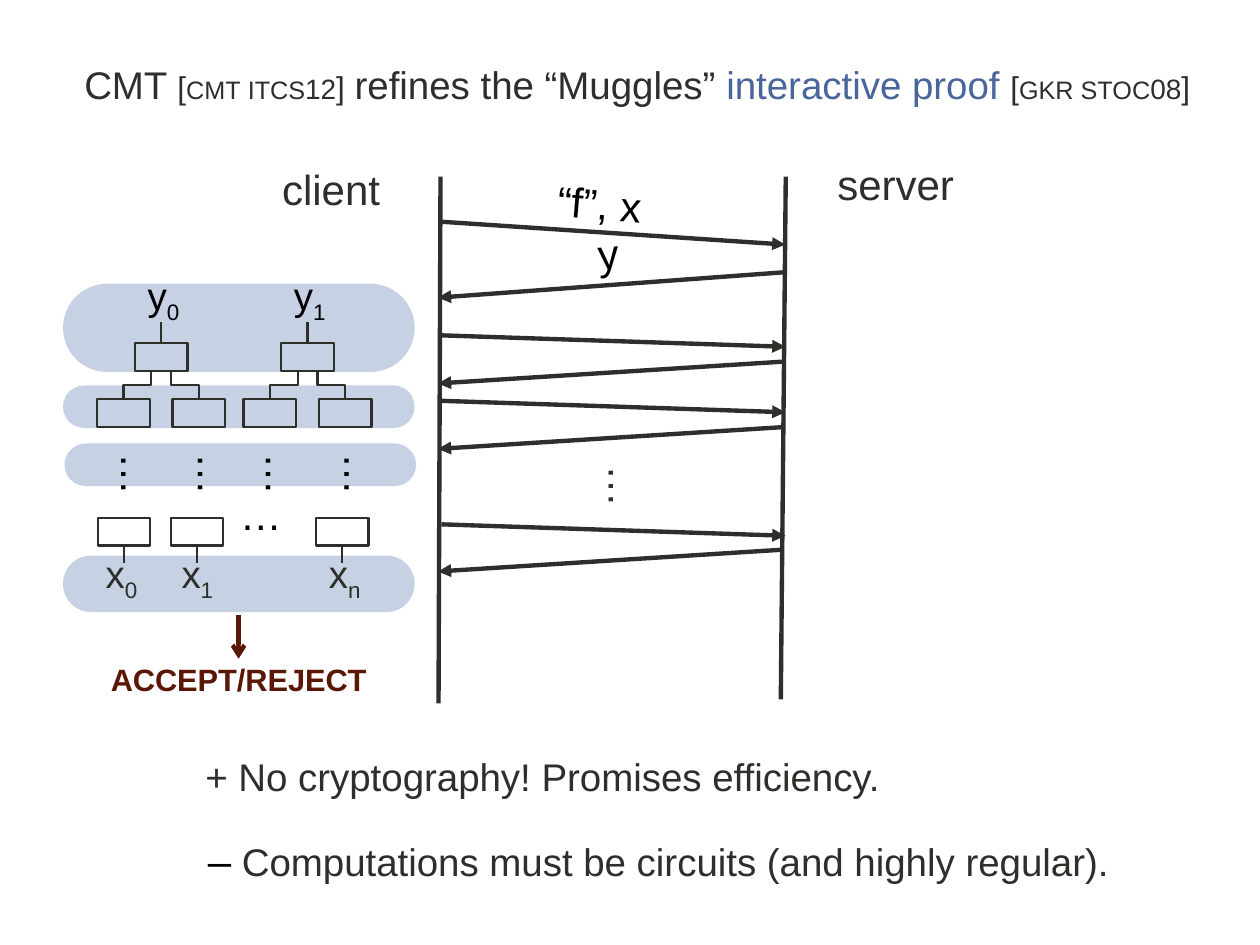
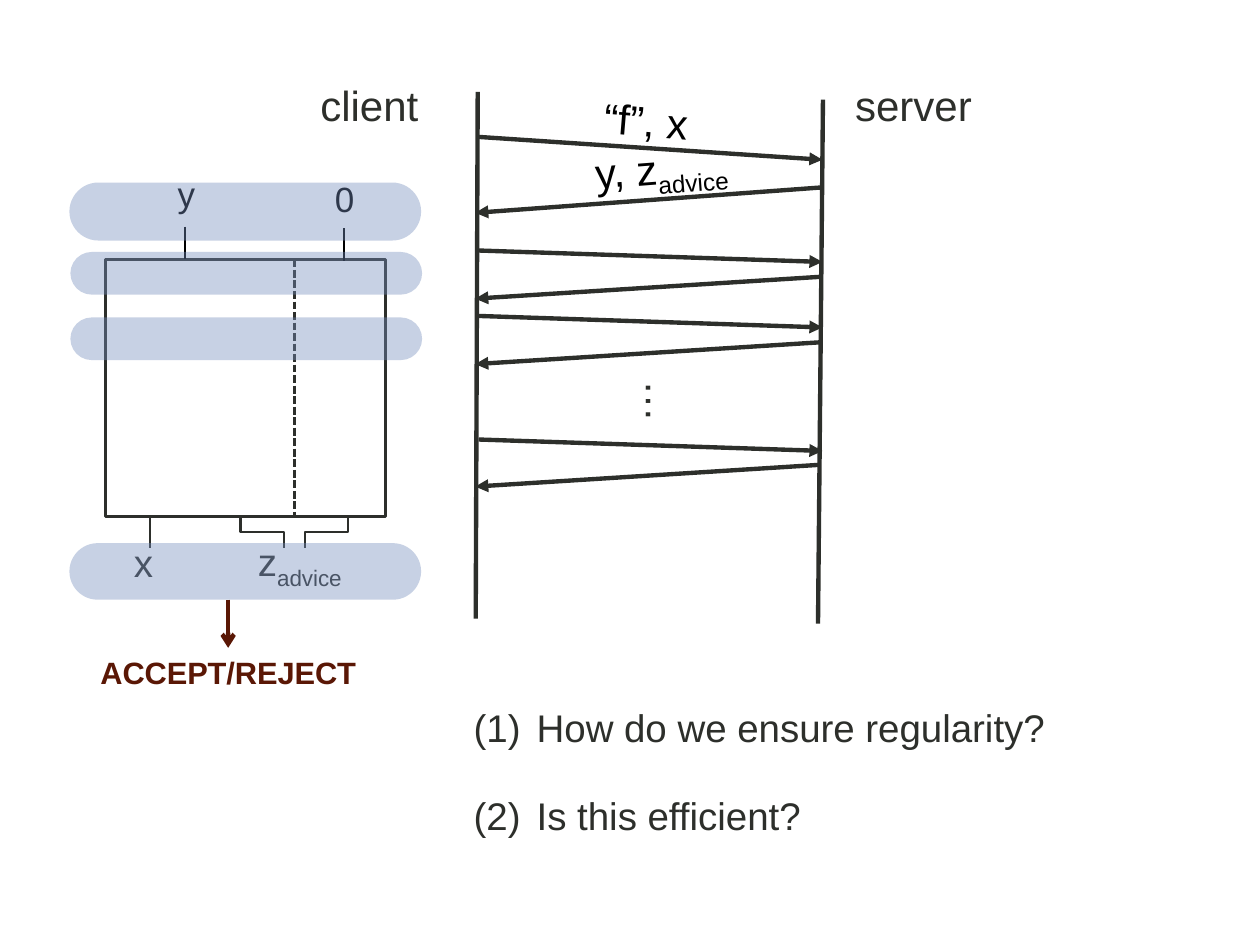
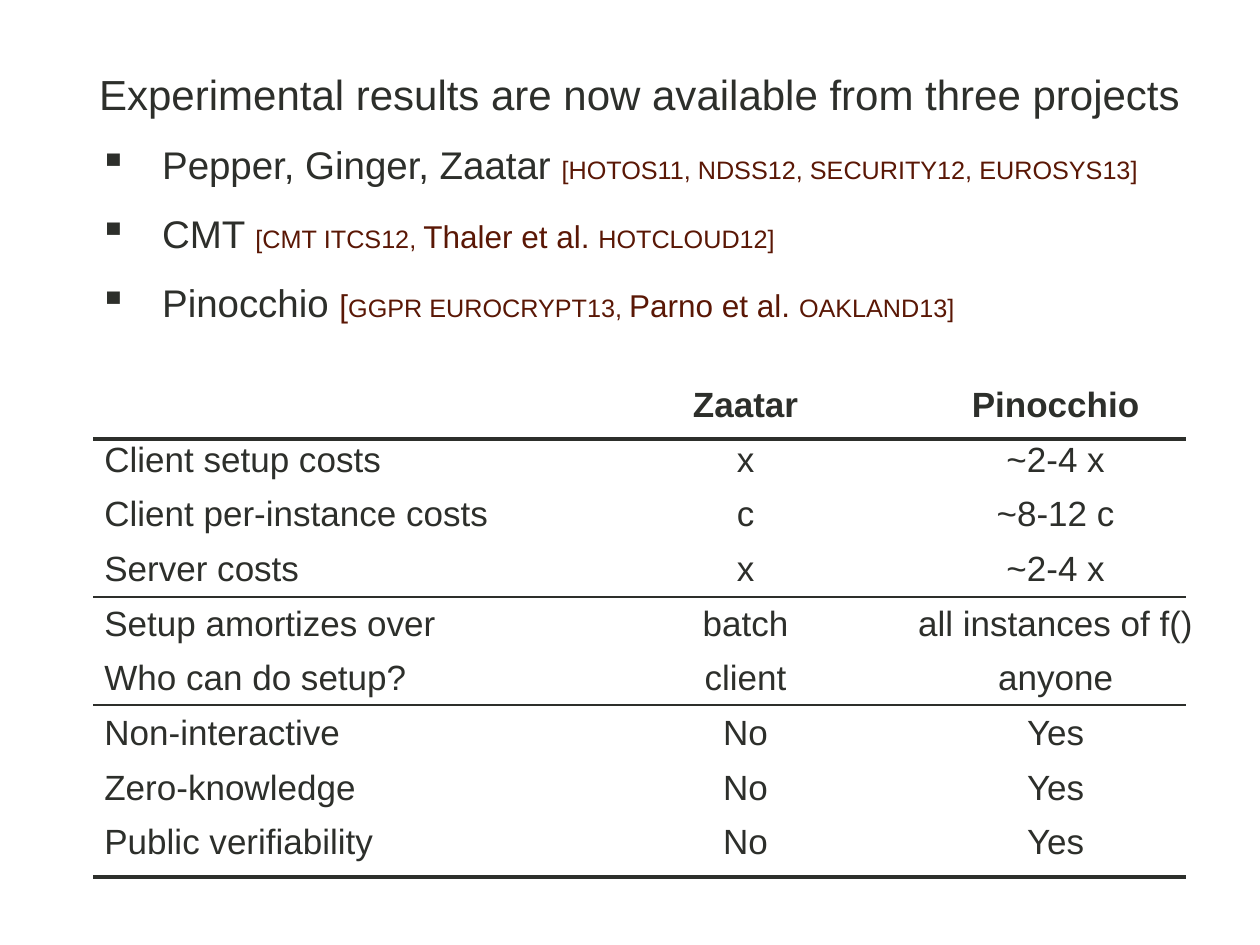
from dataclasses import dataclass

from pptx import Presentation
from pptx.dml.color import RGBColor
from pptx.enum.dml import MSO_LINE
from pptx.enum.shapes import MSO_CONNECTOR, MSO_SHAPE
from pptx.enum.text import PP_ALIGN
from pptx.oxml.ns import qn
from pptx.util import Cm, Pt
from lxml.etree import SubElement

INK = RGBColor(0x2D, 0x2F, 0x2B)
BLACK = RGBColor(0, 0, 0)
BAND_BLUE = RGBColor(0x74, 0x8C, 0xBC)
TERM_BLUE = RGBColor(0x4A, 0x65, 0x9A)
MAROON = RGBColor(0x5A, 0x17, 0x05)
FONT = "Arial"
THIN, MEDIUM, THICK = 1.25, 1.5, 2.5
LINE_HEIGHT = 1.19
LABEL_HEIGHT = 1.27
LANE_GAP = 6.95
ROUNDS = [
    (0.91, 0.46, 1.93, 0.51),
    (3.2, 0.23, 3.73, 0.44),
    (4.52, 0.23, 5.05, 0.44),
    (7.01, 0.23, 7.52, 0.44),
]
RESULTS = [
    ("", "Zaatar", "Pinocchio"),
    ("Client setup costs", "x", "~2-4 x"),
    ("Client per-instance costs", "c", "~8-12 c"),
    ("Server costs", "x", "~2-4 x"),
    ("Setup amortizes over", "batch", "all instances of f()"),
    ("Who can do setup?", "client", "anyone"),
    ("Non-interactive", "No", "Yes"),
    ("Zero-knowledge", "No", "Yes"),
    ("Public verifiability", "No", "Yes"),
]


@dataclass
class Span:
    """A stretch of text in one format."""

    text: str
    size: int = 22
    colour: RGBColor = INK
    bold: bool = False
    small_caps: bool = False
    subscript: bool = False


def write(paragraph, spans):
    """Fill a paragraph with formatted spans."""
    for span in spans:
        run = paragraph.add_run()
        run.text = span.text
        run.font.name = FONT
        run.font.size = Pt(span.size)
        run.font.bold = span.bold
        run.font.color.rgb = span.colour
        properties = run.font._element
        if span.small_caps:
            properties.set("cap", "small")
        if span.subscript:
            properties.set("baseline", "-25000")


def add_text(page, place, *lines, align=PP_ALIGN.LEFT, rotation=0):
    """Add a wrapping text box with one paragraph per list of spans."""
    box = page.shapes.add_textbox(*map(Cm, place))
    box.rotation = rotation
    frame = box.text_frame
    frame.word_wrap = True
    for index, spans in enumerate(lines):
        paragraph = frame.add_paragraph() if index else frame.paragraphs[0]
        paragraph.alignment = align
        write(paragraph, spans)
    return frame


def add_label(page, place, *spans, rotation=0):
    """Add a centred one-line label."""
    add_text(page, place, spans, align=PP_ALIGN.CENTER, rotation=rotation)


def add_bullet(paragraph, kind, space, **attributes):
    """Give a paragraph a hanging bullet and space before it."""
    properties = paragraph._p.get_or_add_pPr()
    properties.set("marL", str(Cm(1.27)))
    properties.set("indent", str(-Cm(1.27)))
    SubElement(properties, qn(kind), attributes)
    if space:
        paragraph.space_before = Pt(space)


def add_line(page, start, end, width=THIN, colour=INK, head=None, dash=None,
             kind=MSO_CONNECTOR.STRAIGHT):
    """Add a connector, optionally dashed or with an arrowhead at its end."""
    line = page.shapes.add_connector(kind, *map(Cm, (*start, *end)))
    line.line.width = Pt(width)
    line.line.color.rgb = colour
    if dash:
        line.line.dash_style = dash
    properties = line._element.spPr
    if head:
        SubElement(properties.find(qn("a:ln")), qn("a:tailEnd"), type=head)
    SubElement(properties, qn("a:effectLst"))
    return line


def add_stem(page, x, top, bottom, colour=INK):
    """Add a thin vertical wire."""
    add_line(page, (x, top), (x, bottom), colour=colour)


def add_branch(page, start, end):
    """Add an elbow wire that leaves and arrives vertically."""
    (left, top), (right, bottom) = start, end
    x, y = (left + right) / 2, (top + bottom) / 2
    across, down = (right - left) / 2, (bottom - top) / 2
    wire = add_line(page, (x - down, y + across), (x + down, y - across),
                    kind=MSO_CONNECTOR.ELBOW)
    wire._element.spPr.find(qn("a:xfrm")).set("rot", str(90 * 60000))


def add_outline(page, place, width=THIN):
    """Add an unfilled rectangle."""
    box = page.shapes.add_shape(MSO_SHAPE.RECTANGLE, *map(Cm, place))
    box.shadow.inherit = False
    box.fill.background()
    box.line.color.rgb = INK
    box.line.width = Pt(width)


def add_gate(page, x, y):
    """Add a circuit gate centred on a point."""
    add_outline(page, (x - 0.53, y - 0.28, 1.06, 0.56))


def add_band(page, left, top, height):
    """Add a translucent rounded band behind one circuit layer."""
    band = page.shapes.add_shape(
        MSO_SHAPE.ROUNDED_RECTANGLE, *map(Cm, (left, top, 7.09, height)))
    band.adjustments[0] = 0.5
    band.shadow.inherit = False
    band.line.fill.background()
    band.fill.solid()
    band.fill.fore_color.rgb = BAND_BLUE
    colour = band._element.spPr.find(qn("a:solidFill"))[0]
    SubElement(colour, qn("a:alpha"), val="40000")


def add_protocol(page, left, top, server_top, server_bottom):
    """Add the two lifelines and the rounds of messages between them."""
    add_line(page, (left, top), (left - 0.04, top + 10.62), THICK)
    add_line(page, (left + 6.96, server_top), (left + 6.86, server_bottom), THICK)
    for request, request_drop, reply, reply_drop in ROUNDS:
        add_line(page, (left + 0.02, top + request),
                 (left + LANE_GAP, top + request + request_drop),
                 THICK, head="triangle")
        add_line(page, (left + LANE_GAP - 0.04, top + reply),
                 (left - 0.05, top + reply + reply_drop), THICK, head="triangle")
    add_label(page, (left + 1.19, top + 5.61, 3.91, LABEL_HEIGHT),
              Span("…", 24), rotation=270)


def add_party(page, name, left, top):
    """Name one side of the protocol."""
    add_label(page, (left, top, 3.91, LABEL_HEIGHT), Span(name, 24))


def add_message(page, left, top, rotation, *spans):
    """Add a tilted message label."""
    add_label(page, (left, top, 5.41, LABEL_HEIGHT), *spans, rotation=rotation)


def add_verdict(page, x, arrow_top, arrow_bottom, top):
    """Add the arrow that leads to the client's decision."""
    add_line(page, (x, arrow_top), (x, arrow_bottom), THICK, MAROON, "arrow")
    add_label(page, (x - 3.5, top, 7, LINE_HEIGHT),
              Span("accept/reject", colour=MAROON, bold=True, small_caps=True))


def add_subtree(page, x, name):
    """Add an output wire with its gate and two child gates."""
    add_label(page, (x - 0.68, 5.36, 1.45, LINE_HEIGHT),
              Span("y", colour=BLACK), Span(name, colour=BLACK, subscript=True))
    add_stem(page, x, 6.5, 6.91)
    add_gate(page, x, 7.2)
    for side in (-1, 1):
        add_gate(page, x + side * 0.76, 8.33)
        add_branch(page, (x + side * 0.2, 7.48), (x + side * 0.76, 8.05))


def build_proof(page):
    """Build the slide on the interactive proof."""
    for band in [(1.27, 5.72, 1.78), (1.27, 7.77, 0.86),
                 (1.3, 8.94, 0.86), (1.27, 11.2, 1.14)]:
        add_band(page, *band)
    add_text(page, (1.45, 1.1, 23.67, 2.26), [
        Span("CMT "), Span("[", 18), Span("cmt itcs", 18, small_caps=True),
        Span("12", 16), Span("]", 18), Span(" ", 20),
        Span("refines the “Muggles” "), Span("interactive proof ", colour=TERM_BLUE),
        Span("[", 18), Span("gkr stoc", 18, small_caps=True),
        Span("08", 16), Span("]", 18)])
    add_party(page, "client", 4.72, 3.18)
    add_party(page, "server", 16.1, 3.07)
    add_protocol(page, 8.88, 3.56, 3.56, 14.1)
    add_message(page, 9.5, 3.48, 4.9, Span("“f”, x ", 24, BLACK))
    add_message(page, 9.55, 4.47, 355.5, Span("y", 24, BLACK))
    for x, name in [(3.25, "0"), (6.2, "1")]:
        add_subtree(page, x, name)
    for left in (1.42, 2.97, 4.34, 5.92):
        add_label(page, (left, 8.92, 1.55, LABEL_HEIGHT),
                  Span("… ", 24, BLACK), rotation=270)
    for x, left, name in [(2.5, 1.52, "0 "), (3.97, 3.05, "1 "), (6.9, 6.02, "n ")]:
        add_gate(page, x, 10.72)
        add_stem(page, x, 11, 11.35)
        add_label(page, (left, 10.97, 1.98, LINE_HEIGHT),
                  Span("x"), Span(name, subscript=True))
    add_label(page, (4.39, 9.73, 1.98, LABEL_HEIGHT), Span("… ", 24, BLACK))
    add_verdict(page, 4.81, 12.4, 13.28, 13.03)
    add_text(page, (3.89, 15.06, 18.31, LINE_HEIGHT),
             [Span("+ No cryptography! Promises efficiency.")])
    add_text(page, (3.94, 16.69, 20.35, LABEL_HEIGHT), [
        Span("–", 24, BLACK),
        Span(" Computations must be circuits (and highly regular).")])


def build_advice(page):
    """Build the slide on proofs with advice."""
    add_party(page, "client", 5.49, 1.47)
    add_party(page, "server", 16.46, 1.47)
    add_protocol(page, 9.63, 1.85, 2.01, 12.57)
    add_message(page, 10.44, 1.8, 4.9, Span("“f”, x ", 24, BLACK))
    add_message(page, 10.62, 2.74, 355.5, Span("y, z", 24, BLACK),
                Span("advice", 24, BLACK, subscript=True))
    add_outline(page, (2.13, 5.23, 5.64, 5.18), MEDIUM)
    add_line(page, (5.94, 5.23), (5.94, 10.39), MEDIUM, dash=MSO_LINE.SQUARE_DOT)
    add_text(page, (3.33, 3.35, 0.91, 1.12), [Span("y", 20, BLACK)])
    add_text(page, (6.5, 3.45, 1.17, 1.12), [Span("0", 20, BLACK)])
    add_stem(page, 3.73, 4.57, 5.23, BLACK)
    add_stem(page, 6.93, 4.6, 5.26, BLACK)
    add_stem(page, 3.02, 10.41, 11.05)
    add_branch(page, (4.85, 10.41), (5.72, 11.05))
    add_branch(page, (7.01, 10.41), (6.15, 11.05))
    add_label(page, (2.01, 10.74, 1.98, LINE_HEIGHT), Span("x "))
    add_label(page, (4.9, 10.72, 2.41, LINE_HEIGHT),
              Span("z"), Span("advice ", subscript=True))
    for band in [(1.4, 3.68, 1.17), (1.42, 5.08, 0.86),
                 (1.42, 6.4, 0.86), (1.4, 10.95, 1.14)]:
        add_band(page, *band)
    add_verdict(page, 4.6, 12.09, 13.06, 12.9)
    questions = add_text(page, (9.3, 14.07, 13.64, 3),
                         [Span("How do we ensure regularity?")],
                         [Span("Is this efficient?")])
    for index, paragraph in enumerate(questions.paragraphs):
        add_bullet(paragraph, "a:buAutoNum", 24 * index, type="arabicParenBoth")


def cite(text, small_caps=True):
    """Return a span in the citation style."""
    return Span(text, 18, MAROON, small_caps=small_caps)


def add_results(page):
    """Add the comparison table and its rules."""
    widths = (10.41, 5.54, 6.96)
    table = page.shapes.add_table(
        len(RESULTS), len(widths),
        *map(Cm, (1.85, 7.65, sum(widths), 1.1 * len(RESULTS)))).table
    table.first_row = False
    table.horz_banding = False
    for column, width in zip(table.columns, widths):
        column.width = Cm(width)
    for row, values in enumerate(RESULTS):
        for column, value in enumerate(values):
            cell = table.cell(row, column)
            cell.fill.background()
            if value:
                paragraph = cell.text_frame.paragraphs[0]
                paragraph.alignment = PP_ALIGN.CENTER if column else PP_ALIGN.LEFT
                write(paragraph, [Span(value, 20, bold=row == 0)])
    for y, width in [(8.85, THICK), (12.04, THIN), (14.22, THIN), (17.68, THICK)]:
        add_line(page, (1.88, y), (23.9, y), width)


def build_results(page):
    """Build the slide on experimental results."""
    projects = add_text(
        page, (1.75, 1.25, 23.01, 6.5),
        [Span("Experimental results are now available from three projects", 24)],
        [Span("Pepper, Ginger, Zaatar "),
         cite("[hotos11, ndss12, security12, eurosys13]")],
        [Span("CMT "), cite("[cmt itcs12, "), cite("Thaler et al. ", False),
         cite("hotcloud12]")],
        [Span("Pinocchio "), cite("[", False), cite("ggpr eurocrypt13, "),
         cite("Parno et al. ", False), cite("oakland13]")])
    for paragraph in projects.paragraphs[1:]:
        add_bullet(paragraph, "a:buChar", 13, char="▪")
    add_results(page)


def main():
    """Build and save the deck."""
    deck = Presentation()
    deck.slide_width, deck.slide_height = Cm(25.4), Cm(19.05)
    for build in (build_proof, build_advice, build_results):
        build(deck.slides.add_slide(deck.slide_layouts[6]))
    deck.save("out.pptx")


if __name__ == "__main__":
    main()
